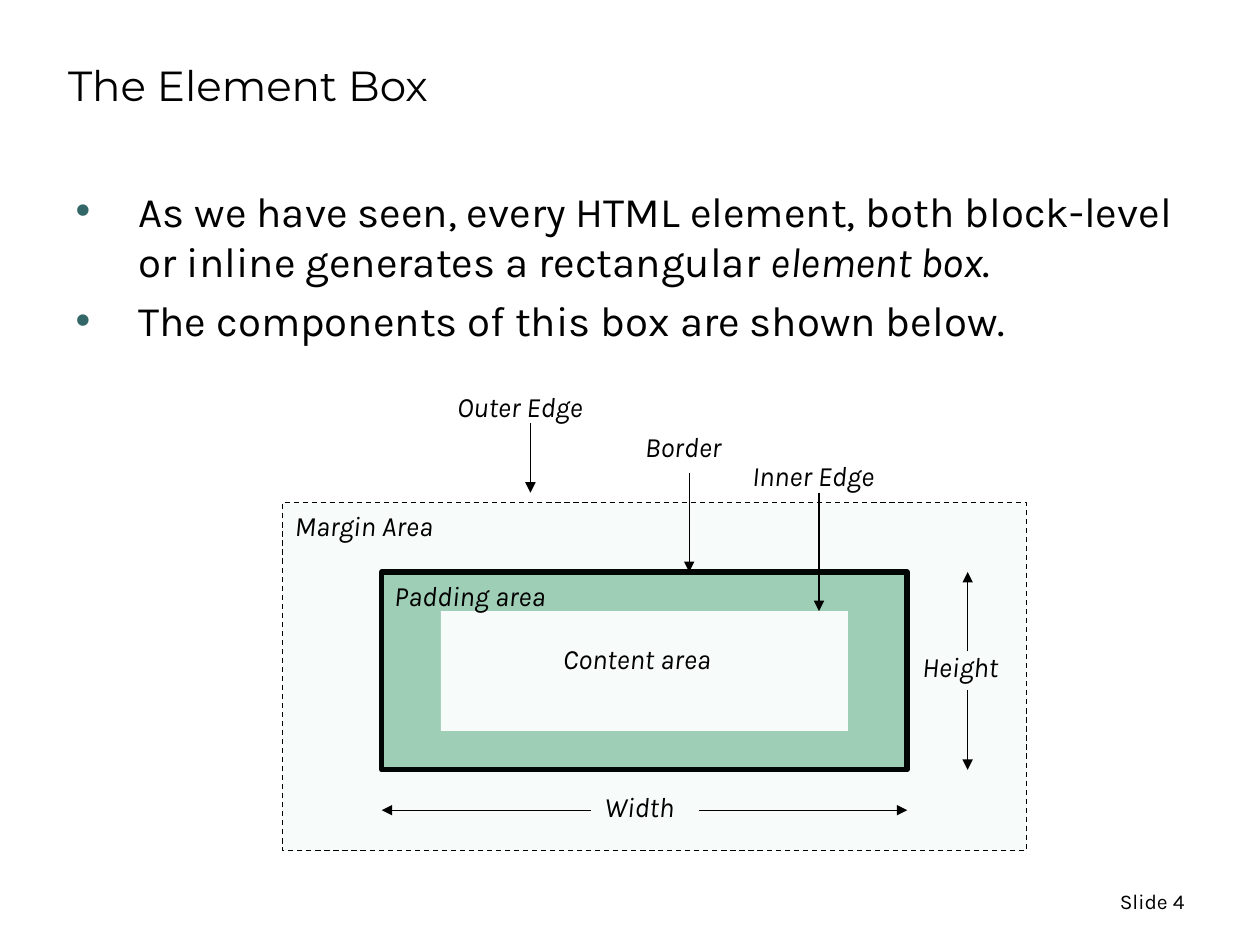
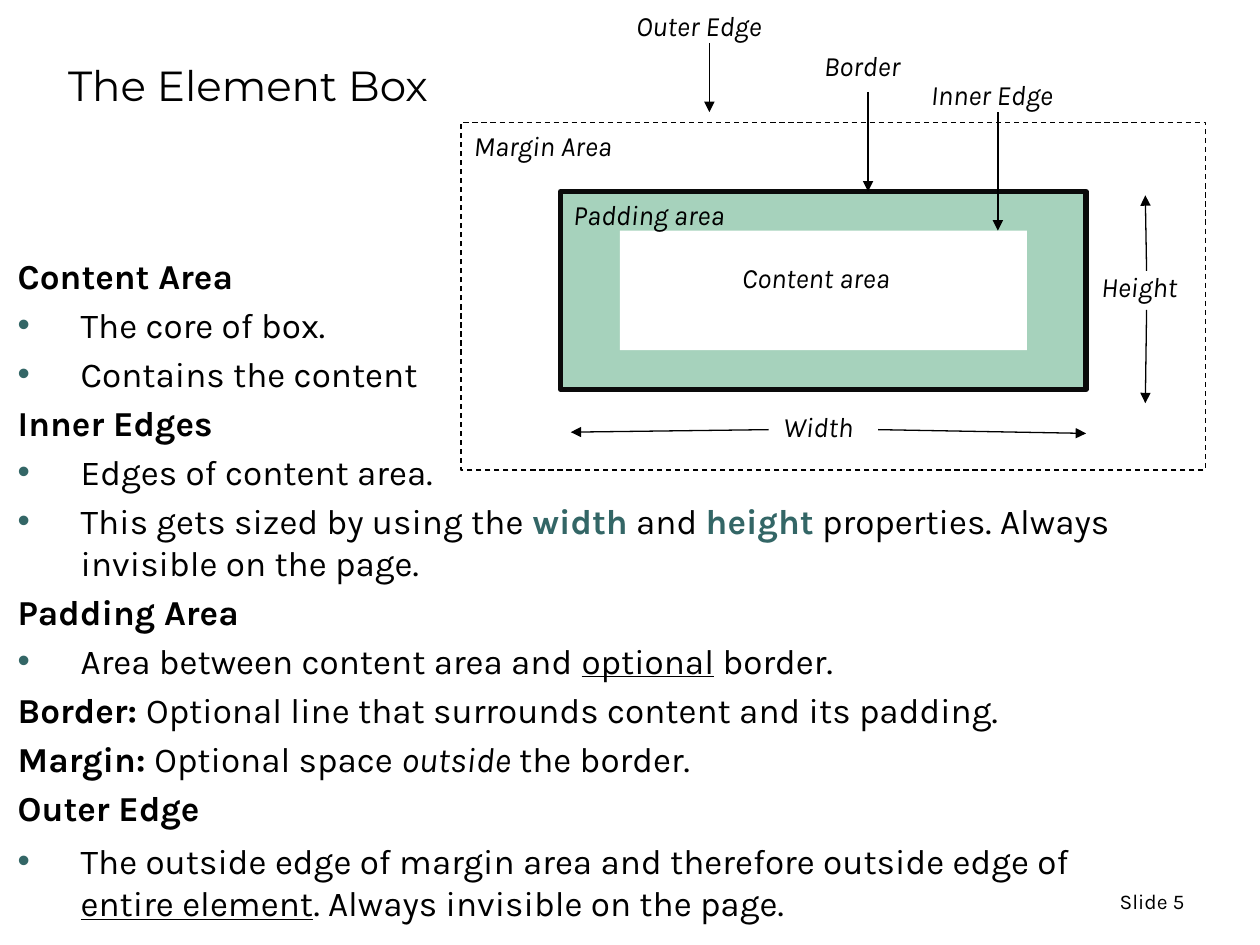
"""Two slides on the CSS element box, sharing one labelled diagram."""
from dataclasses import dataclass
from typing import NamedTuple

from lxml import etree
from pptx import Presentation
from pptx import util as u
from pptx.dml.color import RGBColor
from pptx.enum import dml, shapes, text
from pptx.oxml import ns

BLACK = RGBColor(0x00, 0x00, 0x00)
WHITE = RGBColor(0xFF, 0xFF, 0xFF)
GREEN = RGBColor(0x33, 0x99, 0x66)
TEAL = RGBColor(0x33, 0x66, 0x66)
BODY_FONT, TITLE_FONT = "Karla", "Montserrat"

# Grid of square cells; every length below is counted in cells.
COLS, ROWS = 100, 75
CELL = u.Inches(10) // COLS
LABEL_ROWS = 3.7


class Span(NamedTuple):
    """A stretch of text with its own look."""
    text: str
    bold: bool = False
    italic: bool = False
    underline: bool = False
    color: RGBColor = BLACK


@dataclass(frozen=True)
class Para:
    """One body paragraph."""
    spans: tuple
    bullet: bool = False


class Area(NamedTuple):
    """A rectangle of the diagram, relative to its origin."""
    col: float
    row: float
    cols: float
    rows: float


class Label(NamedTuple):
    """A caption of the diagram, relative to its origin."""
    text: str
    col: float
    row: float
    cols: float


class Arrow(NamedTuple):
    """An arrow from one grid point to another."""
    col: float
    row: float
    to_col: float
    to_row: float


MARGIN = Area(0, 0, 59.1, 27.6)
PADDING = Area(7.9, 5.5, 41.7, 15.7)
CONTENT = Area(12.6, 8.6, 32.3, 9.5)

LABELS = (
    Label("Content area", 21.3, 10.5, 14.7),
    Label("Padding area", PADDING.col, PADDING.row, 14.8),
    Label("Width", 24.6, 22.3, 7.7),
    Label("Height", 49.8, 11.2, 8.4),
    Label("Margin Area", MARGIN.col, MARGIN.row, 13.8),
    Label("Border", 27.8, -6.3, 8.5),
    Label("Inner Edge", 36.3, -4, 12.8),
    Label("Outer Edge", 12.9, -9.5, 13.1),
)
EDGE_ARROWS = (
    Arrow(32.3, -2.4, 32.3, PADDING.row),
    Arrow(42.6, -0.8, 42.6, CONTENT.row),
    Arrow(19.7, -6.3, 19.7, -0.8),
)
STRAIGHT_MEASURES = (
    Arrow(33.1, 24.4, 49.6, 24.4),
    Arrow(24.5, 24.4, 7.9, 24.4),
    Arrow(54.4, 11.8, 54.4, 5.5),
    Arrow(54.4, 14.9, 54.4, 21.2),
)
SLANTED_MEASURES = (
    Arrow(33.1, 24.4, 49.6, 24.7),
    Arrow(24.4, 24.4, 8.7, 24.6),
    Arrow(54.4, 11.8, 54.3, 5.8),
    Arrow(54.4, 14.9, 54.3, 22.3),
)


def cells(n: float) -> int:
    """Turn a count of grid cells into a length."""
    return u.Emu(round(n * CELL))


def heading(words: str) -> Para:
    """Make a bold paragraph without a bullet."""
    return Para((Span(words, bold=True),))


def item(*parts) -> Para:
    """Make a bulleted paragraph from strings and spans."""
    return Para(as_spans(parts), bullet=True)


def as_spans(parts) -> tuple:
    """Wrap plain strings as spans."""
    return tuple(Span(x) if isinstance(x, str) else x for x in parts)


def add_text(p, words: str, *, size: float, font: str = BODY_FONT,
             color: RGBColor = BLACK, bold: bool = False,
             italic: bool = False, underline: bool = False) -> None:
    """Add formatted text to a paragraph; a newline becomes a line break."""
    for i, line in enumerate(words.split("\n")):
        if i:
            p.add_line_break()
        r = p.add_run()
        r.text = line
        f = r.font
        f.size, f.name = u.Pt(size), font
        f.bold, f.italic, f.underline = bold, italic, underline
        f.color.rgb = color


def set_bullet(p, bullet: bool) -> None:
    """Give a paragraph a hanging teal bullet, or none at all."""
    pPr = p._p.get_or_add_pPr()
    indent = u.Inches(0.5) if bullet else 0
    pPr.set("marL", str(indent))
    pPr.set("indent", str(-indent))
    if not bullet:
        etree.SubElement(pPr, ns.qn("a:buNone"))
        return
    clr = etree.SubElement(pPr, ns.qn("a:buClr"))
    etree.SubElement(clr, ns.qn("a:srgbClr")).set("val", str(TEAL))
    etree.SubElement(pPr, ns.qn("a:buFont")).set("typeface", "Arial")
    etree.SubElement(pPr, ns.qn("a:buChar")).set("char", "•")


def place(sp, col: float, row: float, cols: float, rows: float) -> None:
    """Move a shape to a place on the grid."""
    sp.left, sp.top = cells(col), cells(row)
    sp.width, sp.height = cells(cols), cells(rows)


def fill_title(s, words: str) -> None:
    """Fill and format the title placeholder."""
    sp = s.shapes.title
    place(sp, 4.4, 2.5, 85, 6.7)
    tf = sp.text_frame
    tf.auto_size = text.MSO_AUTO_SIZE.NONE
    tf.vertical_anchor = text.MSO_ANCHOR.BOTTOM
    p = tf.paragraphs[0]
    p.alignment = text.PP_ALIGN.LEFT
    add_text(p, words, size=24, font=TITLE_FONT)


def fill_body(s, area: Area, paras, size: float) -> None:
    """Fill and format the body placeholder."""
    sp = s.placeholders[1]
    place(sp, *area)
    tf = sp.text_frame
    tf.auto_size = text.MSO_AUTO_SIZE.NONE
    for i, para in enumerate(paras):
        p = tf.add_paragraph() if i else tf.paragraphs[0]
        set_bullet(p, para.bullet)
        for span in para.spans:
            look = span._asdict()
            add_text(p, look.pop("text"), size=size, **look)


def add_page_label(s, number: int) -> None:
    """Write the slide number at the lower right."""
    tf = s.shapes.add_textbox(*map(cells, (71.7, 69.5, 23.3, 4))).text_frame
    tf.word_wrap = True
    tf.vertical_anchor = text.MSO_ANCHOR.MIDDLE
    p = tf.paragraphs[0]
    p.alignment = text.PP_ALIGN.RIGHT
    add_text(p, f"Slide {number}", size=12)


def add_area(s, origin, area: Area, color: RGBColor, *, opacity: int = 100,
             line: float = 0, dashed: bool = False) -> None:
    """Draw one rectangle of the diagram."""
    col, row = origin
    sp = s.shapes.add_shape(shapes.MSO_SHAPE.RECTANGLE,
                            cells(col + area.col), cells(row + area.row),
                            cells(area.cols), cells(area.rows))
    sp.shadow.inherit = False
    sp.fill.solid()
    sp.fill.fore_color.rgb = color
    if opacity < 100:
        clr = sp._element.spPr.find(f"{ns.qn('a:solidFill')}/{ns.qn('a:srgbClr')}")
        etree.SubElement(clr, ns.qn("a:alpha")).set("val", str(opacity * 1000))
    if not line:
        sp.line.fill.background()
        return
    sp.line.color.rgb = BLACK
    sp.line.width = u.Pt(line)
    if dashed:
        sp.line.dash_style = dml.MSO_LINE.DASH


def add_label(s, origin, label: Label) -> None:
    """Write one caption of the diagram."""
    col, row = origin
    tf = s.shapes.add_textbox(cells(col + label.col), cells(row + label.row),
                              cells(label.cols), cells(LABEL_ROWS)).text_frame
    tf.word_wrap = False
    tf.auto_size = text.MSO_AUTO_SIZE.SHAPE_TO_FIT_TEXT
    add_text(tf.paragraphs[0], label.text, size=16, italic=True)


def add_arrow(s, origin, arrow: Arrow) -> None:
    """Draw a thin arrow with a head at its end."""
    col, row = origin
    sp = s.shapes.add_connector(
        shapes.MSO_CONNECTOR.STRAIGHT,
        cells(col + arrow.col), cells(row + arrow.row),
        cells(col + arrow.to_col), cells(row + arrow.to_row))
    sp.line.color.rgb = BLACK
    sp.line.width = u.Pt(0.75)
    ln = sp.line._get_or_add_ln()
    etree.SubElement(ln, ns.qn("a:tailEnd")).set("type", "triangle")
    etree.SubElement(sp._element.spPr, ns.qn("a:effectLst"))


def add_diagram(s, origin, margin_color: RGBColor, measures) -> None:
    """Draw the element box with its captions and arrows."""
    add_area(s, origin, PADDING, GREEN, opacity=45, line=3)
    add_area(s, origin, CONTENT, WHITE)
    add_area(s, origin, MARGIN, margin_color, opacity=4, line=0.75, dashed=True)
    for label in LABELS:
        add_label(s, origin, label)
    for arrow in EDGE_ARROWS + measures:
        add_arrow(s, origin, arrow)


def add_page(prs, number: int, body: Area, paras, size: float):
    """Add a slide with title, body and page label."""
    s = prs.slides.add_slide(prs.slide_layouts[1])
    fill_title(s, "The Element Box")
    fill_body(s, body, paras, size)
    add_page_label(s, number)
    return s


INTRO = (
    item("As we have seen, every HTML element, both block-level or inline "
         "generates a rectangular ", Span("element box", italic=True), "."),
    item("The components of this box are shown below."),
)
PARTS = (
    heading("Content Area"),
    item("The core of box."),
    item("Contains the content"),
    heading("Inner Edges"),
    item("Edges of content area."),
    item("This gets sized by using the ", Span("width", bold=True, color=TEAL),
         " and ", Span("height", bold=True, color=TEAL),
         " properties. Always invisible on the page."),
    heading("Padding Area"),
    item("Area between content area and ", Span("optional", underline=True),
         " border."),
    Para((Span("Border: ", bold=True),
          Span("Optional line that surrounds content and its padding."))),
    Para((Span("Margin: ", bold=True), Span("Optional space "),
          Span("outside", italic=True), Span(" the border."))),
    heading("Outer Edge"),
    item("The outside edge of margin area and therefore outside edge of \n",
         Span("entire element", underline=True),
         ". Always invisible on the page."),
)

prs = Presentation()
prs.slide_width, prs.slide_height = cells(COLS), cells(ROWS)

s = add_page(prs, 4, Area(5, 14.2, 89.4, 13.9), INTRO, 24)
add_diagram(s, (22.4, 39.9), GREEN, STRAIGHT_MEASURES)

s = add_page(prs, 5, Area(0.4, 19.7, 95, 55.6), PARTS, 20)
add_diagram(s, (36.6, 9.7), WHITE, SLANTED_MEASURES)

prs.save("out.pptx")
